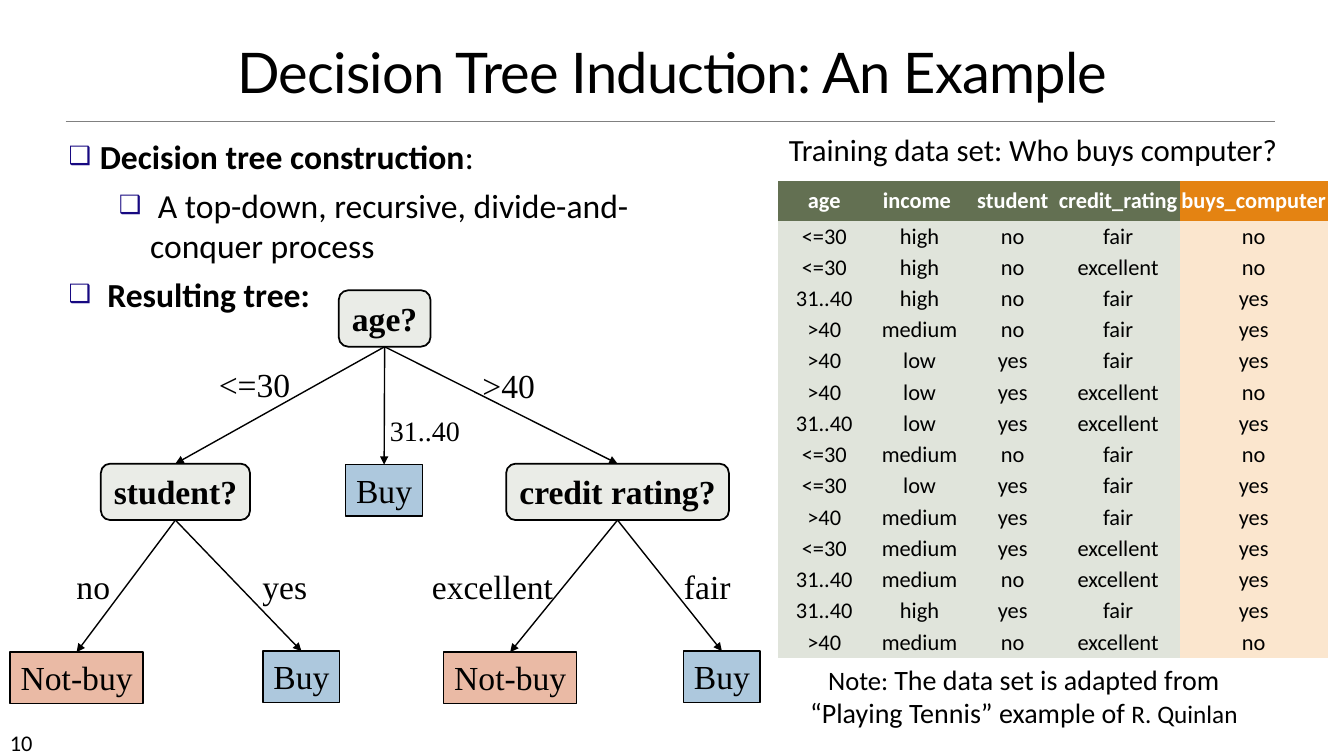
import pptx
import pptx.dml.color
import pptx.enum.shapes
import pptx.enum.text
import pptx.oxml.ns
import pptx.util
import lxml.etree

Inches = pptx.util.Inches
Pt = pptx.util.Pt
qn = pptx.oxml.ns.qn
MSO_SHAPE = pptx.enum.shapes.MSO_SHAPE
CENTER = pptx.enum.text.PP_ALIGN.CENTER
TOP = pptx.enum.text.MSO_ANCHOR.TOP
MIDDLE = pptx.enum.text.MSO_ANCHOR.MIDDLE
BOTTOM = pptx.enum.text.MSO_ANCHOR.BOTTOM
NO_AUTOSIZE = pptx.enum.text.MSO_AUTO_SIZE.NONE
STRAIGHT = pptx.enum.shapes.MSO_CONNECTOR.STRAIGHT


def color(hex_string):
    return pptx.dml.color.RGBColor.from_string(hex_string)


def format_runs(paragraph, name, size, bold=False, text_color="000000"):
    for run in paragraph.runs:
        run.font.name = name
        run.font.size = Pt(size)
        run.font.bold = bold
        run.font.color.rgb = color(text_color)


presentation = pptx.Presentation()
presentation.slide_width = Inches(13.33)
presentation.slide_height = Inches(7.5)
slide = presentation.slides.add_slide(presentation.slide_layouts[1])
shapes = slide.shapes

# Title
title = shapes.title
title.left, title.top, title.width, title.height = map(Inches, (1.67, 0.17, 10, 0.92))
title.text_frame.text = "Decision Tree Induction: An Example"
title.text_frame.vertical_anchor = BOTTOM
title.text_frame.auto_size = NO_AUTOSIZE
paragraph = title.text_frame.paragraphs[0]
paragraph.alignment = CENTER
paragraph.line_spacing = 0.85
format_runs(paragraph, "Lato", 40)
paragraph.runs[0].font._element.set("spc", "-50")

# Bulleted list
body = slide.placeholders[1]
body.left, body.top, body.width, body.height = map(Inches, (0.58, 1.3, 6.11, 1.88))
body.text_frame.auto_size = NO_AUTOSIZE
body.text_frame.vertical_anchor = TOP
bullets = [
    (0, 0.31, "Decision tree construction:", True),
    (1, 0.81, " A top-down, recursive, divide-and-conquer process", False),
    (0, 0.31, " Resulting tree:", True),
]
body.text_frame.text = "\n".join(bullet[1 + 1] for bullet in bullets)
for index, (level, indent, text, bold) in enumerate(bullets):
    paragraph = body.text_frame.paragraphs[index]
    paragraph.level = level
    properties = paragraph._p.get_or_add_pPr()
    properties.set("marL", str(Inches(indent)))
    properties.set("indent", str(-Inches(0.31)))
    bullet_color = lxml.etree.SubElement(properties, qn("a:buClr"))
    lxml.etree.SubElement(bullet_color, qn("a:srgbClr"), val="170981")
    lxml.etree.SubElement(properties, qn("a:buSzPct"), val="75000")
    lxml.etree.SubElement(properties, qn("a:buChar"), char="❑")
    paragraph.space_before = Pt(6 if index else 0)
    format_runs(paragraph, "Calibri", 24, bold)
# The colon after the first heading is not bold
heading = body.text_frame.paragraphs[0]
heading.runs[0].text = "Decision tree construction"
colon = heading.add_run()
colon.text = ":"
colon.font.name = "Calibri"
colon.font.size = Pt(24)
colon.font.bold = False
colon.font.color.rgb = color("000000")

# Tree nodes: decisions are rounded, leaves are plain rectangles
nodes = {}
for key, text, left, top, width, height, fill in [
    ("age", "age?", 3.36, 2.88, 0.91, 0.56, "EAECE7"),
    ("student", "student?", 1, 4.6, 1.48, 0.56, "EAECE7"),
    ("credit", "credit rating?", 5.02, 4.6, 2.21, 0.56, "EAECE7"),
    ("middle-aged", "Buy", 3.43, 4.61, 0.76, 0.51, "ADC8DD"),
    ("not student", "Not-buy", 0.1, 6.47, 1.32, 0.51, "EABAA5"),
    ("is student", "Buy", 2.61, 6.46, 0.76, 0.51, "ADC8DD"),
    ("excellent", "Not-buy", 4.4, 6.47, 1.32, 0.51, "EABAA5"),
    ("fair", "Buy", 6.78, 6.46, 0.76, 0.51, "ADC8DD"),
]:
    decision = text.endswith("?")
    kind = MSO_SHAPE.ROUNDED_RECTANGLE if decision else MSO_SHAPE.RECTANGLE
    node = shapes.add_shape(kind, Inches(left), Inches(top), Inches(width), Inches(height))
    node.shadow.inherit = False
    node.fill.solid()
    node.fill.fore_color.rgb = color(fill)
    node.line.color.rgb = color("000000")
    node.line.width = Pt(1.25 if decision else 1)
    node.text_frame.text = text
    node.text_frame.word_wrap = False
    node.text_frame.vertical_anchor = TOP
    paragraph = node.text_frame.paragraphs[0]
    paragraph.alignment = CENTER
    format_runs(paragraph, "Times New Roman", 24, decision)
    nodes[key] = node

# Branch labels
for text, left, top, width, height, size in [
    ("<=30", 2.06, 3.55, 0.93, 0.51, 24),
    (">40", 4.68, 3.56, 0.73, 0.51, 24),
    ("31..40", 3.63, 4.1, 1.17, 0.33, 20),
    ("no", 0.55, 5.56, 0.75, 0.51, 24),
    ("yes", 2.5, 5.56, 0.65, 0.51, 24),
    ("excellent", 4.18, 5.56, 1.41, 0.51, 24),
    ("fair", 6.68, 5.56, 0.67, 0.51, 24),
]:
    label = shapes.add_textbox(Inches(left), Inches(top), Inches(width), Inches(height))
    label.text_frame.text = text
    label.text_frame.word_wrap = False
    label.text_frame.vertical_anchor = MIDDLE
    paragraph = label.text_frame.paragraphs[0]
    paragraph.alignment = CENTER
    format_runs(paragraph, "Times New Roman", size)

# Rule under the title and arrows between the nodes
rule = shapes.add_connector(STRAIGHT, Inches(0.65), Inches(1.2), Inches(12.65), Inches(1.2))
rule.line.color.rgb = color("808080")
rule.line.width = Pt(0.5)
connectors = [rule]
for parent, children in {
    "age": ["student", "middle-aged", "credit"],
    "student": ["not student", "is student"],
    "credit": ["excellent", "fair"],
}.items():
    for child in children:
        arrow = shapes.add_connector(STRAIGHT, 0, 0, 0, 0)
        arrow.begin_connect(nodes[parent], 2)
        arrow.end_connect(nodes[child], 0)
        arrow.line.color.rgb = color("000000")
        arrow.line.width = Pt(1)
        lxml.etree.SubElement(arrow.line._get_or_add_ln(), qn("a:tailEnd"), type="triangle")
        connectors.append(arrow)
for connector in connectors:
    lxml.etree.SubElement(connector._element.spPr, qn("a:effectLst"))

# Table caption, note and slide number
for parts, left, top, width, height, alignment in [
    ([("Training data set: Who buys computer?", 22)], 7.69, 1.25, 5.11, 0.47, CENTER),
    ([("Note: ", 19),
      ("The data set is adapted from “Playing Tennis” example of ", 20),
      ("R. Quinlan", 18)], 7.84, 6.52, 4.63, 0.77, CENTER),
    ([("10", 16)], 0, 7.18, 1.17, 0.3, None),
]:
    box = shapes.add_textbox(Inches(left), Inches(top), Inches(width), Inches(height))
    box.text_frame.word_wrap = True
    paragraph = box.text_frame.paragraphs[0]
    paragraph.alignment = alignment
    for text, size in parts:
        run = paragraph.add_run()
        run.text = text
    format_runs(paragraph, "Calibri", 20)
    for run, (text, size) in zip(paragraph.runs, parts):
        run.font.size = Pt(size)

# Training data table
rows = [line.split(",") for line in """age,income ,student,credit_rating,buys_computer
<=30,high,no,fair,no
<=30,high,no,excellent,no
31..40,high,no,fair,yes
>40,medium,no,fair,yes
>40,low,yes,fair,yes
>40,low,yes,excellent,no
31..40,low,yes,excellent,yes
<=30,medium,no,fair,no
<=30,low,yes,fair,yes
>40,medium,yes,fair,yes
<=30,medium,yes,excellent,yes
31..40,medium,no,excellent,yes
31..40,high,yes,fair,yes
>40,medium,no,excellent,no""".splitlines()]
column_widths = [0.91, 0.98, 0.87, 1.22, 1.47]
table = shapes.add_table(len(rows), len(column_widths), Inches(7.72), Inches(1.8),
                         Inches(5.45), Inches(4.68)).table
# Plain style without grid lines
table._tbl.tblPr.find(qn("a:tableStyleId")).text = "{2D5ABB26-0587-4C30-8999-92F81FD0307C}"
for column, width in zip(table.columns, column_widths):
    column.width = Inches(width)
for row_index, values in enumerate(rows):
    header = row_index == 0
    table.rows[row_index].height = Inches(0.39 if header else 0.31)
    fills = ["637052"] * 4 + ["E48312"] if header else ["E0E4DB"] * 4 + ["FBE6CE"]
    for column_index, value in enumerate(values):
        cell = table.cell(row_index, column_index)
        cell.margin_left = cell.margin_right = cell.margin_top = cell.margin_bottom = 0
        cell.vertical_anchor = MIDDLE
        cell.fill.solid()
        cell.fill.fore_color.rgb = color(fills[column_index])
        cell.text_frame.text = value
        paragraph = cell.text_frame.paragraphs[0]
        paragraph.alignment = CENTER
        format_runs(paragraph, "Calibri", 16, header, "FFFFFF" if header else "000000")

presentation.save("out.pptx")
